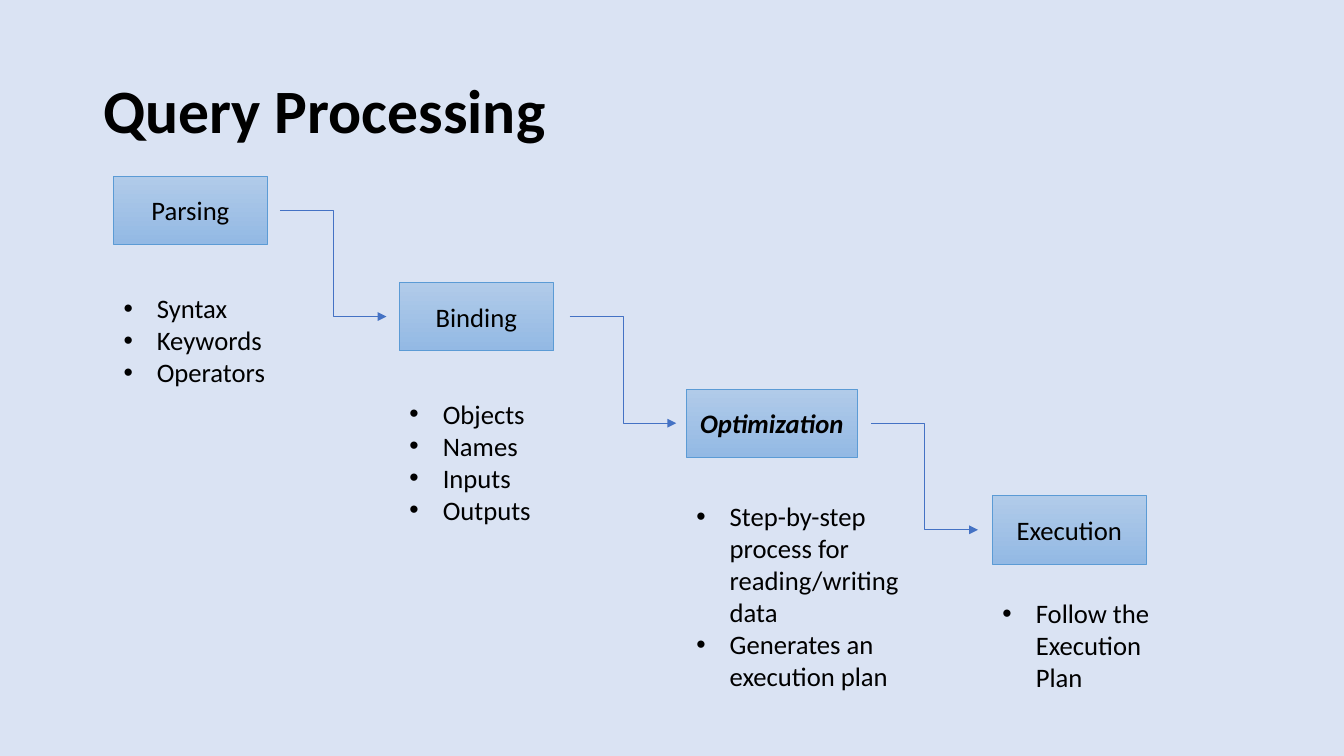
from lxml import etree
from pptx import Presentation
from pptx.dml.color import RGBColor
from pptx.enum.shapes import MSO_CONNECTOR, MSO_SHAPE
from pptx.enum.text import MSO_ANCHOR, PP_ALIGN
from pptx.oxml.ns import qn
from pptx.util import Pt

ELBOW = MSO_CONNECTOR.ELBOW
RECTANGLE = MSO_SHAPE.RECTANGLE
MIDDLE = MSO_ANCHOR.MIDDLE
CENTER = PP_ALIGN.CENTER

BACKGROUND = RGBColor(0xDA, 0xE3, 0xF3)
BLACK = RGBColor(0, 0, 0)
ARROW_BLUE = RGBColor(0x44, 0x72, 0xC4)
BORDER_BLUE = RGBColor(0x5B, 0x9B, 0xD5)
GRADIENT = (RGBColor(0xB1, 0xCB, 0xE9), RGBColor(0x93, 0xB9, 0xE4))

FIRST_TOP = 118.8
STEP = 72
STAGE_HEIGHT = 46
BULLET_INDENT = 22.5

# Name, left, width, then list top, width, height and items
STAGES = [
    ("Parsing", 76.3, 104.4, 193.7, 136.8, 72.7,
     ["Syntax", "Keywords", "Operators"]),
    ("Binding", 269.3, 104.4, 265, 102.2, 94.3,
     ["Objects", "Names", "Inputs", "Outputs"]),
    ("Optimization", 463, 115.9, 334.1, 153.4, 138.2,
     ["Step-by-step process for reading/writing data",
      "Generates an execution plan"]),
    ("Execution", 669.6, 104.4, 399.6, 133.2, 72.7,
     ["Follow the Execution Plan"]),
]
ARROW_LEFTS = [188.9, 384.5, 588.2]


def set_font(para, size, bold=False, italic=False):
    font = para.font
    font.name = "Calibri"
    font.size = Pt(size)
    font.bold = bold
    font.italic = italic
    font.color.rgb = BLACK


deck = Presentation()
deck.slide_width = Pt(907.2)
deck.slide_height = Pt(510.48)
page = deck.slides.add_slide(deck.slide_layouts[6])
page.background.fill.solid()
page.background.fill.fore_color.rgb = BACKGROUND

# Title
title = page.shapes.add_textbox(Pt(62.6), Pt(27.4), Pt(782.6), Pt(98.6))
title.text_frame.word_wrap = True
title.text_frame.vertical_anchor = MIDDLE
para = title.text_frame.paragraphs[0]
para.text = "Query Processing"
para.line_spacing = 0.9
set_font(para, 41.6, bold=True)

# Arrows from each stage down to the next
for index, left in enumerate(ARROW_LEFTS):
    top = FIRST_TOP + STAGE_HEIGHT / 2 + index * STEP
    arrow = page.shapes.add_connector(
        ELBOW, Pt(left), Pt(top), Pt(left + STEP), Pt(top + STEP))
    arrow.line.color.rgb = ARROW_BLUE
    arrow.line.width = Pt(0.5)
    outline = arrow.line._get_or_add_ln()
    etree.SubElement(outline, qn("a:tailEnd"), type="triangle")
    etree.SubElement(arrow._element.spPr, qn("a:effectLst"))

# Stages with their bullet lists
for index, stage in enumerate(STAGES):
    name, left, width, list_top, list_width, list_height, items = stage
    box = page.shapes.add_shape(
        RECTANGLE, Pt(left), Pt(FIRST_TOP + index * STEP),
        Pt(width), Pt(STAGE_HEIGHT))
    box.shadow.inherit = False
    box.fill.gradient()
    box.fill.gradient_angle = 270
    for stop, color, position in zip(box.fill.gradient_stops, GRADIENT, (0, 1)):
        stop.color.rgb = color
        stop.position = position
    box.line.color.rgb = BORDER_BLUE
    box.line.width = Pt(0.5)
    box.text_frame.vertical_anchor = MIDDLE
    para = box.text_frame.paragraphs[0]
    para.text = name
    para.alignment = CENTER
    emphasis = name == "Optimization"
    set_font(para, 18, bold=emphasis, italic=emphasis)

    details = page.shapes.add_textbox(
        Pt(left), Pt(list_top), Pt(list_width), Pt(list_height))
    details.text_frame.word_wrap = True
    details.text_frame.text = "\n".join(items)
    for para in details.text_frame.paragraphs:
        set_font(para, 18)
        properties = para._p.get_or_add_pPr()
        properties.set("marL", str(Pt(BULLET_INDENT)))
        properties.set("indent", str(-Pt(BULLET_INDENT)))
        bullet_font = etree.Element(qn("a:buFont"), typeface="Arial")
        bullet = etree.Element(qn("a:buChar"), char="•")
        properties.insert(0, bullet_font)
        properties.insert(1, bullet)

deck.save("out.pptx")
